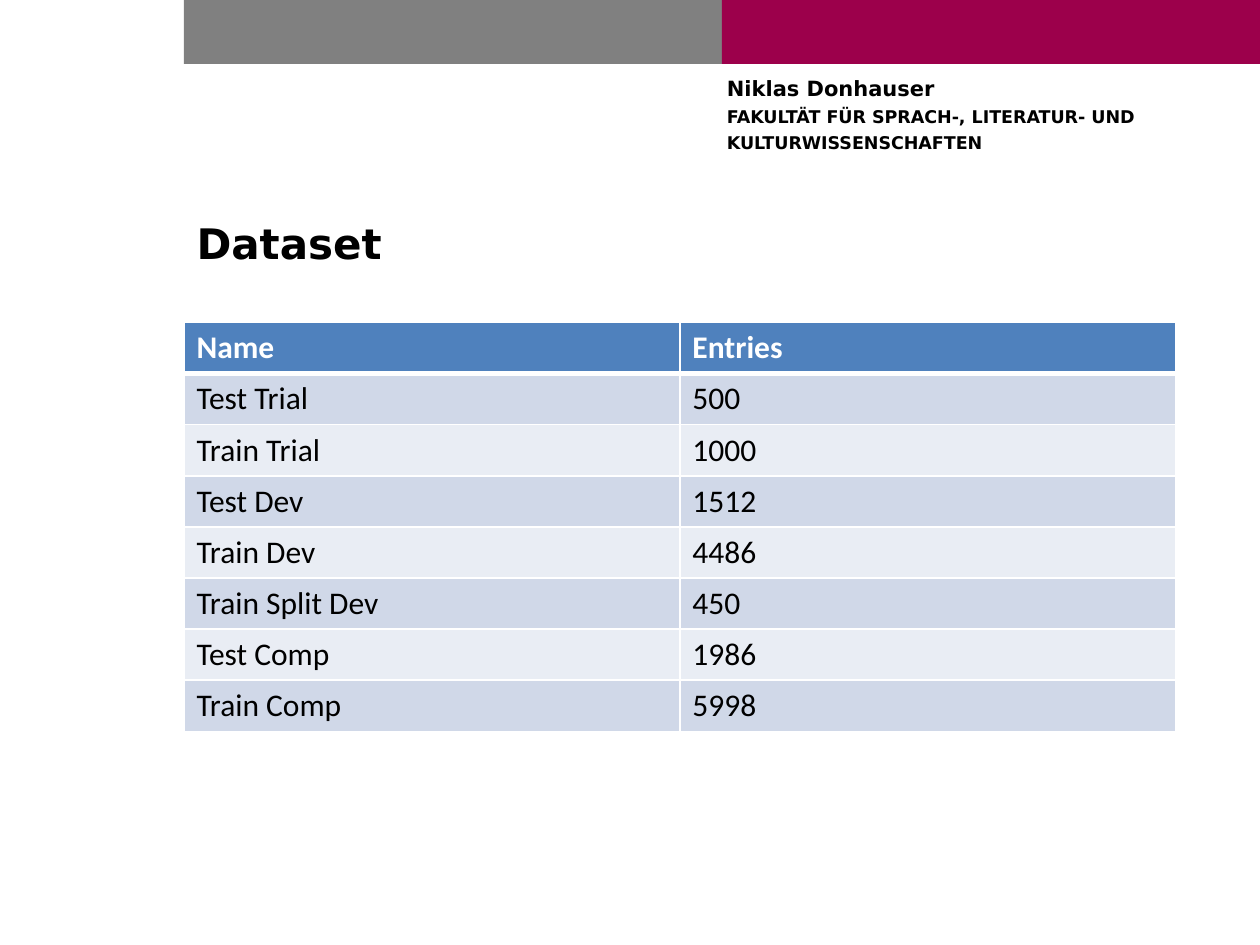
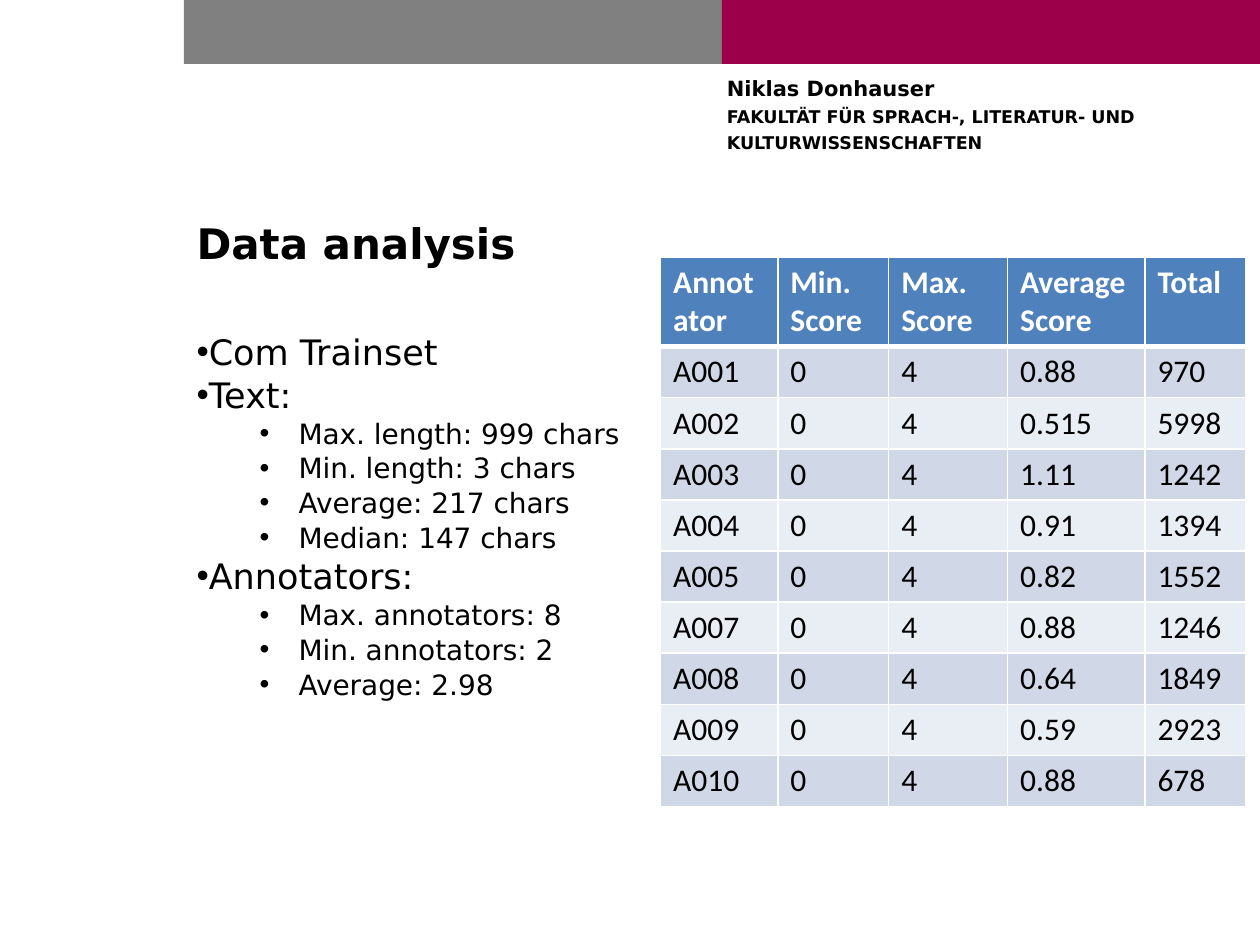
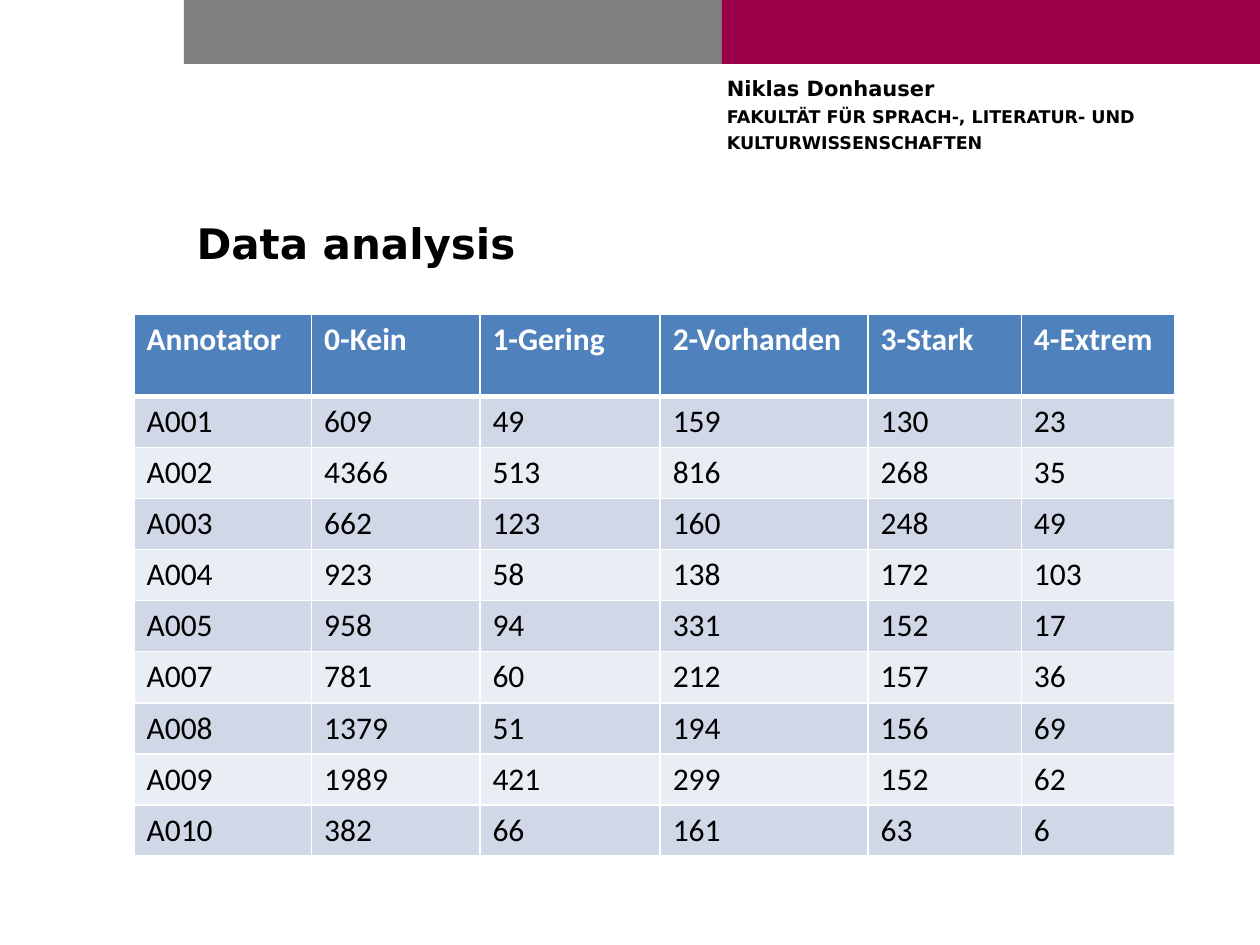
from lxml import etree
from pptx import Presentation
from pptx.dml.color import RGBColor
from pptx.enum import shapes, text
from pptx.oxml import ns
from pptx.util import Pt

GREY = RGBColor(0x80, 0x80, 0x80)
WINE = RGBColor(0x9C, 0x00, 0x4B)
BLACK = RGBColor(0, 0, 0)
WHITE = RGBColor(0xFF, 0xFF, 0xFF)
BLUE = RGBColor(0x4F, 0x81, 0xBD)
BANDS = [RGBColor(0xE9, 0xED, 0xF4), RGBColor(0xD0, 0xD8, 0xE8)]
SANS, CELL = "DejaVu Sans", "Calibri"
LEFT = 105.1


def style(par, face, size, color, bold=False):
    font = par.font
    font.name, font.size, font.bold = face, Pt(size), bold
    font.color.rgb = color


def draw_grid(slide, left, top, widths, head, body, rows):
    """Add a table with a blue head row of height head and banded rows of height body."""
    high = head + body * (len(rows) - 1)
    grid = slide.shapes.add_table(len(rows), len(widths), Pt(left), Pt(top),
                                  Pt(sum(widths)), Pt(high)).table
    for col, width in zip(grid.columns, widths):
        col.width = Pt(width)
    for r, row in enumerate(rows):
        grid.rows[r].height = Pt(body if r else head)
        for c, word in enumerate(row):
            cell = grid.cell(r, c)
            cell.text = word
            for par in cell.text_frame.paragraphs:
                style(par, CELL, 18, BLACK if r else WHITE, not r)
            props = cell._tc.get_or_add_tcPr()
            for side in "LRTB":
                thick = (r == 0 and side == "B") or (r == 1 and side == "T")
                line = etree.SubElement(props, ns.qn("a:ln" + side), w=str(Pt(3 if thick else 1)))
                fill = etree.SubElement(line, ns.qn("a:solidFill"))
                etree.SubElement(fill, ns.qn("a:srgbClr"), val=str(WHITE))
            cell.fill.solid()
            cell.fill.fore_color.rgb = BANDS[r % 2] if r else BLUE


prs = Presentation()
prs.slide_width, prs.slide_height = Pt(720), Pt(540)
master = prs.slide_master
listed, plain = prs.slide_layouts[1], prs.slide_layouts[5]

# Title place shared by all slides
title = master.placeholders[0]
title.left, title.top, title.width, title.height = Pt(LEFT), Pt(118.1), Pt(566), Pt(54.7)
frame = title.text_frame
frame.vertical_anchor = text.MSO_ANCHOR.TOP
frame.auto_size = text.MSO_AUTO_SIZE.NONE
frame.margin_top = Pt(6)

slides = []
for name, layout in [("Dataset", plain), ("Data analysis", listed), ("Data analysis", plain)]:
    slide = prs.slides.add_slide(layout)
    slide.shapes.title.text = name
    par = slide.shapes.title.text_frame.paragraphs[0]
    par.alignment = text.PP_ALIGN.LEFT
    style(par, SANS, 24, BLACK, True)
    slides.append(slide)
first, second, third = slides

# Bands and sender, drawn once and moved to the master
parts = []
wide = (720 - LEFT) / 2
for i, color in enumerate([GREY, WINE]):
    band = first.shapes.add_shape(shapes.MSO_SHAPE.RECTANGLE, Pt(LEFT + i * wide), 0,
                                  Pt(wide), Pt(36.5))
    band.shadow.inherit = False
    band.fill.solid()
    band.fill.fore_color.rgb = color
    band.line.fill.background()
    parts.append(band)
sender = first.shapes.add_textbox(Pt(415.4), Pt(43.2), Pt(291), Pt(67.7))
frame = sender.text_frame
frame.word_wrap = True
frame.margin_left = frame.margin_top = frame.margin_right = frame.margin_bottom = 0
frame.text = "Niklas Donhauser\nFAKULTÄT FÜR SPRACH-, LITERATUR- UND\nKULTURWISSENSCHAFTEN"
for par, size in zip(frame.paragraphs, [12, 10, 10]):
    style(par, SANS, size, BLACK, True)
    par.space_after = Pt(3)
parts.append(sender)
for i, part in enumerate(parts):
    part.element.nvSpPr.cNvPr.id = 20 + i
    master.shapes.element.append(part.element)

# Slide 1
draw_grid(first, LEFT, 184.3, [283.4] * 2, 29.2, 29.2, [
    ("Name", "Entries"),
    ("Test Trial", "500"),
    ("Train Trial", "1000"),
    ("Test Dev", "1512"),
    ("Train Dev", "4486"),
    ("Train Split Dev", "450"),
    ("Test Comp", "1986"),
    ("Train Comp", "5998"),
])

# Slide 2
points = [
    (0, "Com Trainset"),
    (0, "Text:"),
    (1, "Max. length: 999 chars"),
    (1, "Min. length: 3 chars"),
    (1, "Average: 217 chars"),
    (1, "Median: 147 chars"),
    (0, "Annotators:"),
    (1, "Max. annotators: 8"),
    (1, "Min. annotators: 2"),
    (1, "Average: 2.98"),
]
body = second.placeholders[1]
body.left, body.top, body.width, body.height = Pt(LEFT), Pt(184.3), Pt(272.2), Pt(311.8)
frame = body.text_frame
frame.auto_size = text.MSO_AUTO_SIZE.NONE
frame.text = "\n".join(line for _, line in points)
for par, (level, _) in zip(frame.paragraphs, points):
    par.level = level
    par.space_before = Pt(0)
    par.line_spacing = 1.03
    style(par, SANS, 16 if level else 20, BLACK)
    props = par._p.get_or_add_pPr()
    props.set("marL", str(Pt(58.3 if level else 0)))
    props.set("indent", str(Pt(-22.3 if level else -27)))
    etree.SubElement(props, ns.qn("a:buChar"), char="•")
    props.append(props.find(ns.qn("a:defRPr")))

draw_grid(second, 377.5, 146.9, [67, 63.4, 67.9, 78.5, 57.6], 46.8, 26.6, [
    ("Annotator", "Min.\nScore", "Max.\nScore", "Average\nScore", "Total"),
    ("A001", "0", "4", "0.88", "970"),
    ("A002", "0", "4", "0.515", "5998"),
    ("A003", "0", "4", "1.11", "1242"),
    ("A004", "0", "4", "0.91", "1394"),
    ("A005", "0", "4", "0.82", "1552"),
    ("A007", "0", "4", "0.88", "1246"),
    ("A008", "0", "4", "0.64", "1849"),
    ("A009", "0", "4", "0.59", "2923"),
    ("A010", "0", "4", "0.88", "678"),
])

# Slide 3
draw_grid(third, 76.6, 179.6, [101.5, 96.2, 103, 118.8, 87.6, 87.6], 46.8, 26.6, [
    ("Annotator", "0-Kein", "1-Gering", "2-Vorhanden", "3-Stark", "4-Extrem"),
    ("A001", "609", "49", "159", "130", "23"),
    ("A002", "4366", "513", "816", "268", "35"),
    ("A003", "662", "123", "160", "248", "49"),
    ("A004", "923", "58", "138", "172", "103"),
    ("A005", "958", "94", "331", "152", "17"),
    ("A007", "781", "60", "212", "157", "36"),
    ("A008", "1379", "51", "194", "156", "69"),
    ("A009", "1989", "421", "299", "152", "62"),
    ("A010", "382", "66", "161", "63", "6"),
])

prs.save("out.pptx")
